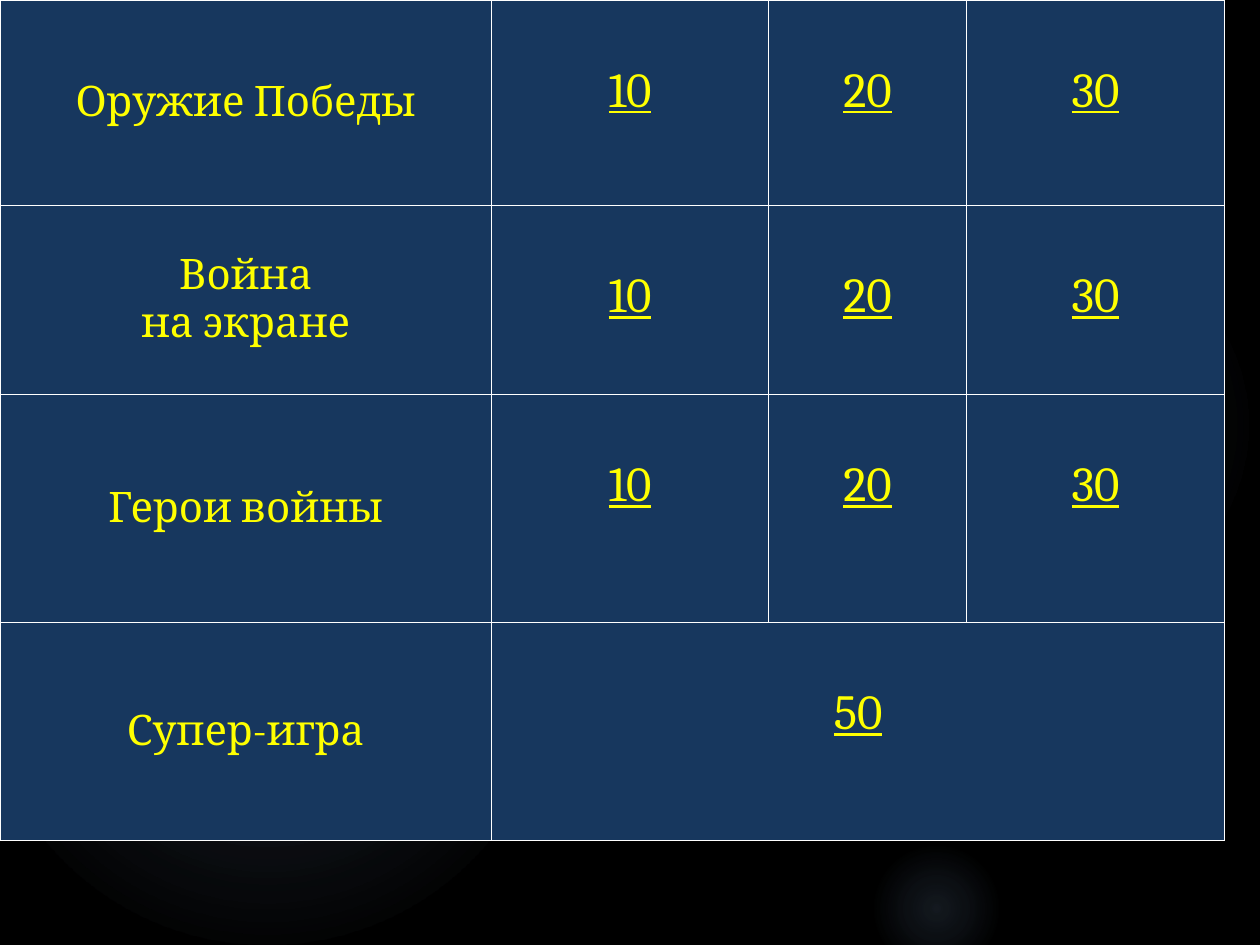
"""Build a quiz board slide: topics on the left, point values on the right."""
from lxml.etree import SubElement
from pptx import Presentation
from pptx.dml.color import RGBColor
from pptx.enum.shapes import MSO_SHAPE
from pptx.enum.text import MSO_ANCHOR, PP_ALIGN
from pptx.oxml import parse_xml
from pptx.oxml.ns import nsdecls, qn
from pptx.util import Inches, Pt

THEME = {"back": "000000", "cell": "17375E", "text": "FFFF00", "line": "FFFFFF",
         "glow": "8EB4E3", "font": "Cambria", "topic": 24, "points": 28}
COLS = [3.9, 2.2, 1.57, 2.05]
ROWS = [1.63, 1.5, 1.81, 1.73]
BOARD = [
    ("Оружие Победы", "10", "20", "30"),
    ("Война\nна экране", "10", "20", "30"),
    ("Герои войны", "10", "20", "30"),
    ("Супер-игра", "50"),
]
GLOWS = [
    (6.89, 1.83, 3.08, [(0, 7), (36, 6), (69, 0)]),
    (6.89, 6.67, 1.08, [(0, 14), (36, 7), (66, 0)]),
    (-0.17, 2.92, 4.58, [(0, 11), (36, 10), (75, 0)]),
]


def glow_fill(stops):
    gs = "".join(
        f'<a:gs pos="{pos * 1000}"><a:srgbClr val="{THEME["glow"]}">'
        f'<a:alpha val="{alpha * 1000}"/></a:srgbClr></a:gs>' for pos, alpha in stops)
    return parse_xml(
        f'<a:gradFill {nsdecls("a")} rotWithShape="1"><a:gsLst>{gs}</a:gsLst><a:path path="circle">'
        '<a:fillToRect l="50000" t="50000" r="50000" b="50000"/></a:path></a:gradFill>')


def style_cell(cell):
    tcPr = cell._tc.get_or_add_tcPr()
    for side in ("lnL", "lnR", "lnT", "lnB"):
        ln = SubElement(tcPr, qn(f"a:{side}"), w=str(Pt(1)))
        SubElement(SubElement(ln, qn("a:solidFill")), qn("a:srgbClr"), val=THEME["line"])
    cell.fill.solid()
    cell.fill.fore_color.rgb = RGBColor.from_string(THEME["cell"])


prs = Presentation()
prs.slide_width, prs.slide_height = Inches(10), Inches(7.5)
s = prs.slides.add_slide(prs.slide_layouts[6])
s.background.fill.solid()
s.background.fill.fore_color.rgb = RGBColor.from_string(THEME["back"])

for x, y, size, stops in GLOWS:
    sp = s.shapes.add_shape(MSO_SHAPE.OVAL, Inches(x), Inches(y), Inches(size), Inches(size))
    sp.shadow.inherit = False
    sp.line.fill.background()
    sp._element.spPr.find(qn("a:prstGeom")).addnext(glow_fill(stops))

table = s.shapes.add_table(len(ROWS), len(COLS), 0, 0, Inches(sum(COLS)), Inches(sum(ROWS))).table
table.first_row = table.horz_banding = False
for col, width in zip(table.columns, COLS):
    col.width = Inches(width)
for row, height in zip(table.rows, ROWS):
    row.height = Inches(height)
for cell in table.iter_cells():
    style_cell(cell)
table.cell(3, 1).merge(table.cell(3, 3))

for i, texts in enumerate(BOARD):
    for j, text in enumerate(texts):
        cell = table.cell(i, j)
        is_topic = j == 0
        if is_topic:
            cell.vertical_anchor = MSO_ANCHOR.MIDDLE
        else:
            cell.margin_top = Inches(0.5)
        tf = cell.text_frame
        for n, line in enumerate(text.split("\n")):
            p = tf.add_paragraph() if n else tf.paragraphs[0]
            p.alignment = PP_ALIGN.CENTER
            r = p.add_run()
            r.text = line
            r.font.name = THEME["font"]
            r.font.size = Pt(THEME["topic" if is_topic else "points"])
            r.font.underline = not is_topic
            r.font.color.rgb = RGBColor.from_string(THEME["text"])

prs.save("out.pptx")
